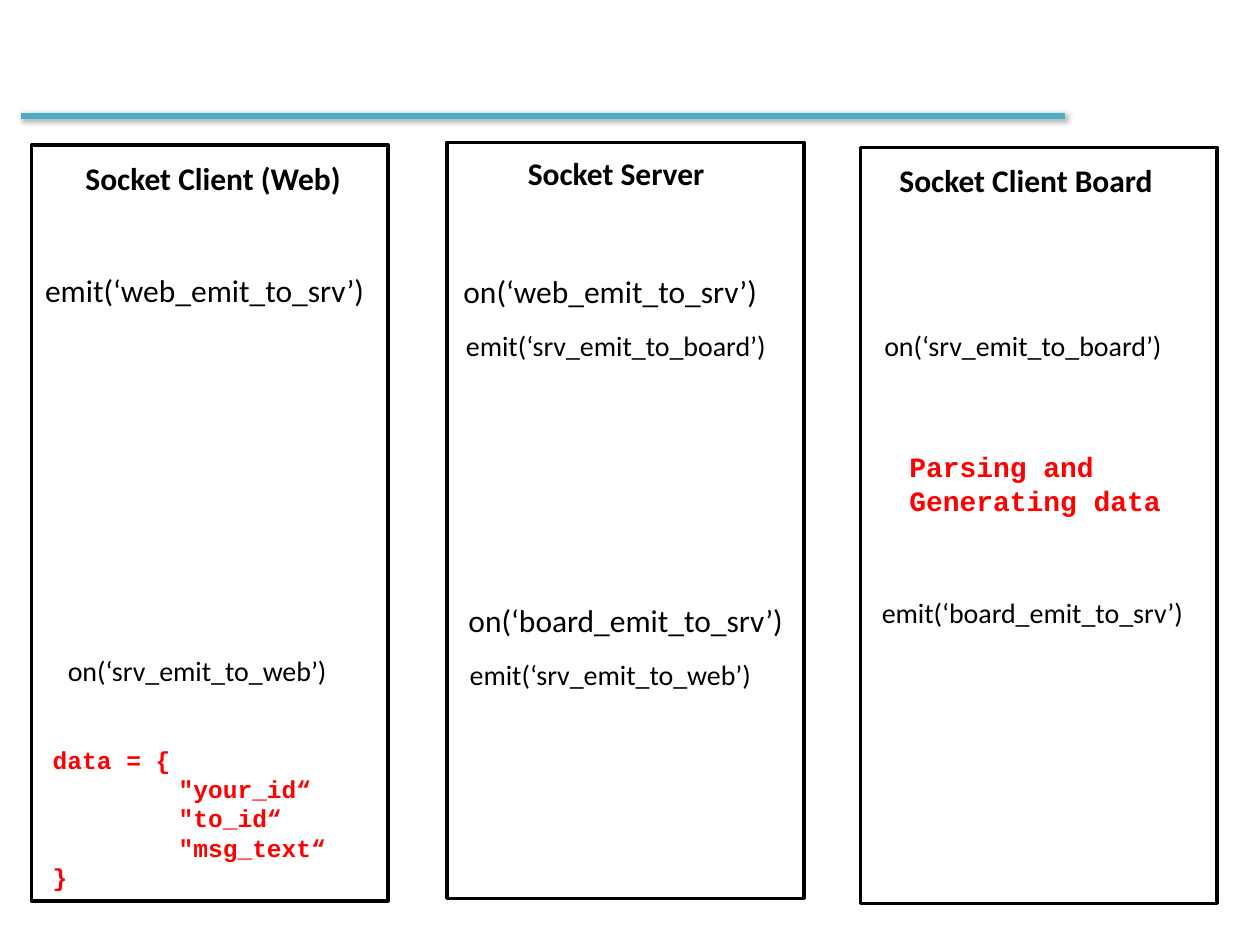
from lxml import etree
from pptx import Presentation
from pptx.dml.color import RGBColor
from pptx.enum.shapes import MSO_CONNECTOR, MSO_SHAPE
from pptx.enum.text import MSO_AUTO_SIZE
from pptx.util import Inches, Pt

STRAIGHT = MSO_CONNECTOR.STRAIGHT
RECTANGLE = MSO_SHAPE.RECTANGLE
FIT_SHAPE = MSO_AUTO_SIZE.SHAPE_TO_FIT_TEXT
BLANK_LAYOUT = 6
COLORS = {"black": "000000", "white": "FFFFFF", "red": "FF0000", "teal": "4BACC6"}
COLUMN_WIDTH, COLUMN_HEIGHT = 2.83, 6
TAB_WIDTH = Inches(1)

STYLES = {
    "heading": {"name": "Calibri", "size": Pt(18), "bold": True, "color": "black"},
    "large": {"name": "Calibri", "size": Pt(18), "bold": False, "color": "black"},
    "event": {"name": "Calibri", "size": Pt(16), "bold": False, "color": "black"},
    "note": {"name": "Courier New", "size": Pt(16), "bold": True, "color": "red"},
    "data": {"name": "Courier New", "size": Pt(14), "bold": True, "color": "red"},
}


def color(name):
    """Return the named colour of the slide."""
    return RGBColor.from_string(COLORS[name])


def add_label(slide, text, style, left, top, width, height):
    """Add a wrapped text box in one of the text styles."""
    box = slide.shapes.add_textbox(Inches(left), Inches(top), Inches(width), Inches(height))
    frame = box.text_frame
    frame.word_wrap = True
    frame.auto_size = FIT_SHAPE
    frame.text = text
    for paragraph in frame.paragraphs:
        if paragraph.text.startswith("\t"):
            paragraph._p.get_or_add_pPr().set("defTabSz", str(TAB_WIDTH))
        for run in paragraph.runs:
            for attribute, value in STYLES[style].items():
                if attribute == "color":
                    run.font.color.rgb = color(value)
                else:
                    setattr(run.font, attribute, value)


presentation = Presentation()
presentation.slide_width = Inches(10)
presentation.slide_height = Inches(7.5)
slide = presentation.slides.add_slide(presentation.slide_layouts[BLANK_LAYOUT])

# Header rule with a soft shadow
rule = slide.shapes.add_connector(STRAIGHT, Inches(0.17), Inches(0.92), Inches(8.45), Inches(0.92))
rule.line.color.rgb = color("teal")
rule.line.width = Pt(3)
namespace = "{http://schemas.openxmlformats.org/drawingml/2006/main}"
effects = etree.SubElement(rule._element.spPr, namespace + "effectLst")
shadow = etree.SubElement(effects, namespace + "outerShdw", blurRad=str(Pt(3.1)),
                          dist=str(Pt(1)), dir="2700000", rotWithShape="0")
shadow_color = etree.SubElement(shadow, namespace + "srgbClr", val=COLORS["black"])
etree.SubElement(shadow_color, namespace + "alpha", val="35000")

# Columns: web client, server, board client
for left, top in [(0.25, 1.15), (3.55, 1.13), (6.83, 1.17)]:
    column = slide.shapes.add_shape(RECTANGLE, Inches(left), Inches(top),
                                    Inches(COLUMN_WIDTH), Inches(COLUMN_HEIGHT))
    column.shadow.inherit = False
    column.fill.solid()
    column.fill.fore_color.rgb = color("white")
    column.line.color.rgb = color("black")
    column.line.width = Pt(2)

headings = [
    ("Socket Client (Web)", 0.58, 1.21, 2.5),
    ("Socket Server", 4.09, 1.17, 2.08),
    ("Socket Client Board", 7.04, 1.23, 2.67),
]
for text, left, top, width in headings:
    add_label(slide, text, "heading", left, top, width, 0.4)

events = [
    ("emit(‘web_emit_to_srv’)", "large", 0.26, 2.1),
    ("on(‘web_emit_to_srv’)", "large", 3.58, 2.11),
    ("emit(‘srv_emit_to_board’)", "event", 3.6, 2.56),
    ("on(‘srv_emit_to_board’)", "event", 6.92, 2.56),
    ("emit(‘board_emit_to_srv’)", "event", 6.9, 4.68),
    ("on(‘board_emit_to_srv’)", "large", 3.62, 4.72),
    ("emit(‘srv_emit_to_web’)", "event", 3.63, 5.17),
    ("on(‘srv_emit_to_web’)", "event", 0.44, 5.14),
]
for text, style, left, top in events:
    height = 0.4 if style == "large" else 0.37
    add_label(slide, text, style, left, top, COLUMN_WIDTH, height)

data_lines = ["data = {", '\t"your_id“', '\t"to_id“', '\t"msg_text“', "}"]
add_label(slide, "\n".join(data_lines), "data", 0.32, 5.86, 2.49, 1.28)
add_label(slide, "Parsing and Generating data", "note", 7.12, 3.52, 2.24, 0.64)

presentation.save("out.pptx")
